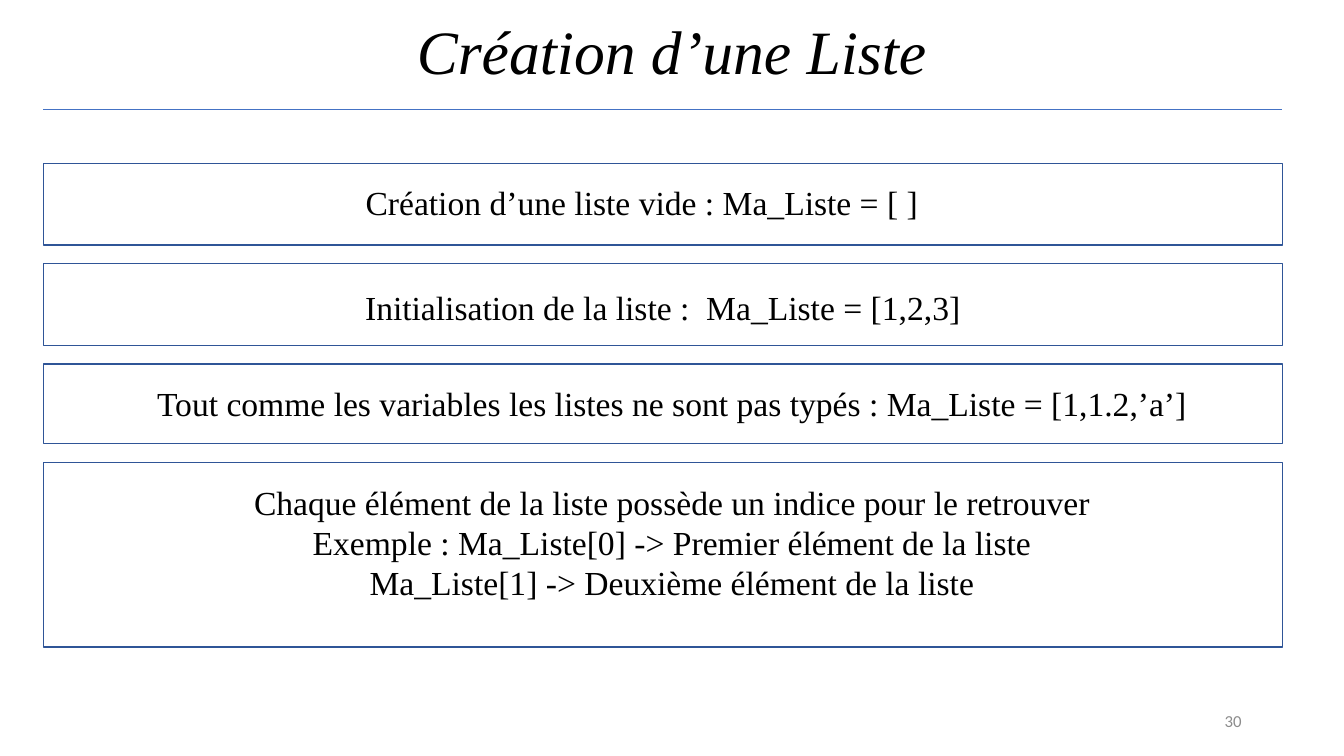
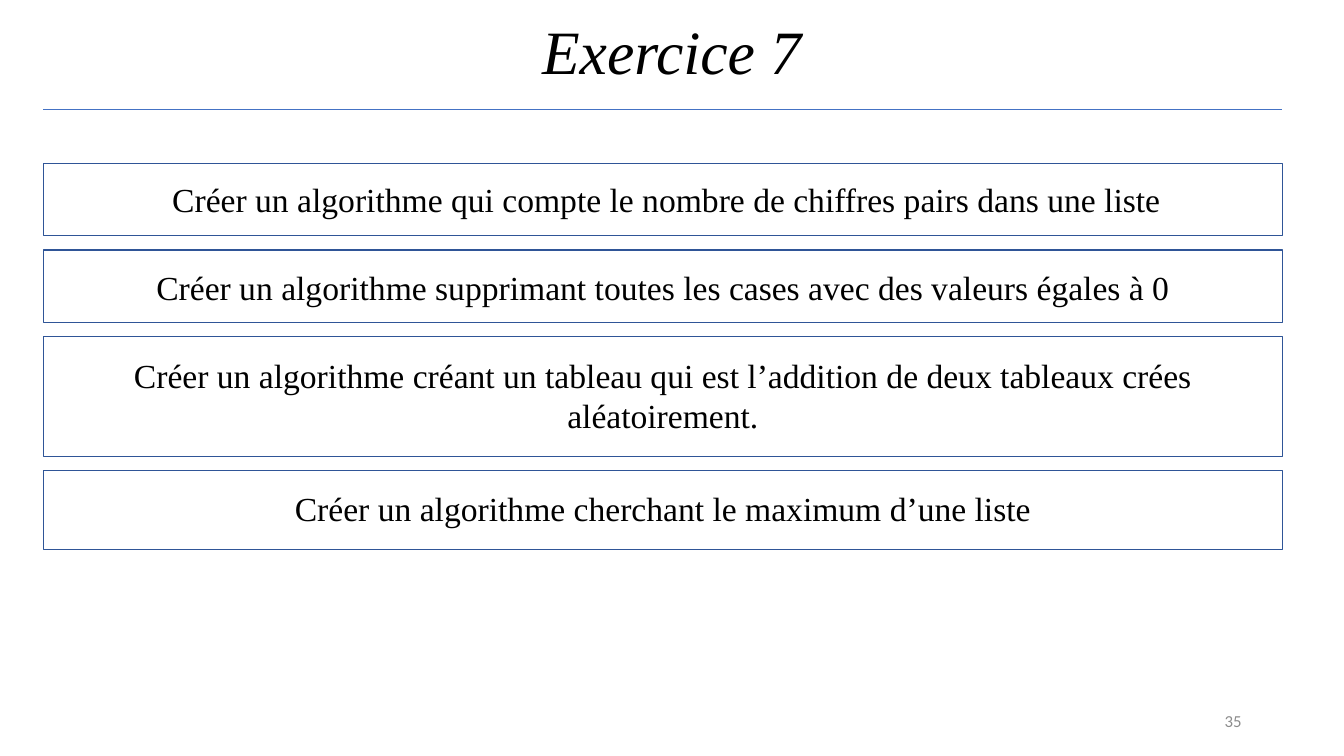
from dataclasses import dataclass

from lxml import etree
from pptx import Presentation
from pptx.dml.color import RGBColor as RGB
from pptx.enum.shapes import MSO_CONNECTOR, MSO_SHAPE
from pptx.enum.text import MSO_ANCHOR as ANCHOR, PP_ALIGN as ALIGN
from pptx.oxml.ns import qn
from pptx.util import Pt


@dataclass(frozen=True)
class Theme:
    serif: str = "Times New Roman"
    sans: str = "Calibri"
    ink: RGB = RGB(0x00, 0x00, 0x00)
    muted: RGB = RGB(0x8C, 0x8C, 0x8C)
    rule: RGB = RGB(0x44, 0x72, 0xC4)
    frame: RGB = RGB(0x2F, 0x55, 0x97)
    title_size: int = 44
    body_size: int = 24
    number_size: int = 12


@dataclass(frozen=True)
class Panel:
    height: float
    drop: float       # space above the text
    lines: tuple
    shift: float = 0  # sideways offset of the centred text


THEME = Theme()
SLIDE_W, SLIDE_H = 960, 540
LEFT, WIDTH = 31, 885
PANELS_TOP = 116.6
SIDE_INSET = 17.6


def write(tf, lines, font, size, color, align, italic=False, spacing=None):
    tf.word_wrap = True
    for i, line in enumerate(lines):
        p = tf.paragraphs[0] if i == 0 else tf.add_paragraph()
        p.text = line
        p.alignment = align
        p.line_spacing = spacing
        p.font.name, p.font.size, p.font.italic = font, Pt(size), italic
        p.font.color.rgb = color


def add_label(s, box, text, *style, **extra):
    tf = s.shapes.add_textbox(*map(Pt, box)).text_frame
    tf.vertical_anchor = ANCHOR.MIDDLE
    write(tf, [text], *style, **extra)


def add_header(s, title):
    add_label(s, (66, 0, 828, 78.4), title, THEME.serif, THEME.title_size,
              THEME.ink, ALIGN.CENTER, italic=True, spacing=0.9)
    # Rule under the title
    y = Pt(77.8)
    rule = s.shapes.add_connector(MSO_CONNECTOR.STRAIGHT, Pt(LEFT), y, Pt(LEFT + WIDTH), y)
    rule.line.color.rgb = THEME.rule
    rule.line.width = Pt(0.5)
    etree.SubElement(rule._element.spPr, qn("a:effectLst"))


def add_page_number(s, number):
    add_label(s, (678, 500.5, 216, 28.8), str(number), THEME.sans,
              THEME.number_size, THEME.muted, ALIGN.RIGHT)


def add_panel(s, left, top, width, panel):
    sp = s.shapes.add_shape(MSO_SHAPE.RECTANGLE, *map(Pt, (left, top, width, panel.height)))
    sp.shadow.inherit = False
    sp.fill.background()
    sp.line.color.rgb = THEME.frame
    sp.line.width = Pt(1)
    tf = sp.text_frame
    tf.vertical_anchor = ANCHOR.TOP
    tf.margin_top, tf.margin_bottom = Pt(panel.drop), 0
    tf.margin_left = Pt(SIDE_INSET + panel.shift)
    tf.margin_right = Pt(SIDE_INSET - panel.shift)
    write(tf, panel.lines, THEME.serif, THEME.body_size, THEME.ink, ALIGN.CENTER)


def add_panel_slide(prs, title, number, gap, panels):
    s = prs.slides.add_slide(prs.slide_layouts[6])
    add_header(s, title)
    # Panels stacked with equal gaps
    top = PANELS_TOP
    for panel in panels:
        add_panel(s, LEFT, top, WIDTH, panel)
        top += panel.height + gap
    add_page_number(s, number)


LIST_PANELS = [
    Panel(58.3, 13, ("Création d’une liste vide : Ma_Liste = [ ]",), -15),
    Panel(58.3, 16.6, ("Initialisation de la liste :  Ma_Liste = [1,2,3]",)),
    Panel(56.9, 13.7, ("Tout comme les variables les listes ne sont pas typés : "
                       "Ma_Liste = [1,1.2,’a’]",), 6.5),
    Panel(131.8, 13.7, ("Chaque élément de la liste possède un indice pour le retrouver",
                        "Exemple : Ma_Liste[0] -> Premier élément de la liste",
                        "Ma_Liste[1] -> Deuxième élément de la liste"), 6.5),
]

EXERCISE_PANELS = [
    Panel(51.8, 11.5, ("Créer un algorithme qui compte le nombre de chiffres pairs "
                       "dans une liste",), 2.5),
    Panel(51.8, 12.2, ("Créer un algorithme supprimant toutes les cases avec des valeurs "
                       "égales à 0",)),
    Panel(85.7, 13, ("Créer un algorithme créant un tableau qui est l’addition de deux "
                     "tableaux crées aléatoirement.",)),
    Panel(56.2, 12.2, ("Créer un algorithme cherchant le maximum d’une liste",)),
]


def main():
    prs = Presentation()
    prs.slide_width, prs.slide_height = Pt(SLIDE_W), Pt(SLIDE_H)
    add_panel_slide(prs, "Création d’une Liste", 30, 13.4, LIST_PANELS)
    add_panel_slide(prs, "Exercice 7", 35, 10.1, EXERCISE_PANELS)
    prs.save("out.pptx")


if __name__ == "__main__":
    main()
